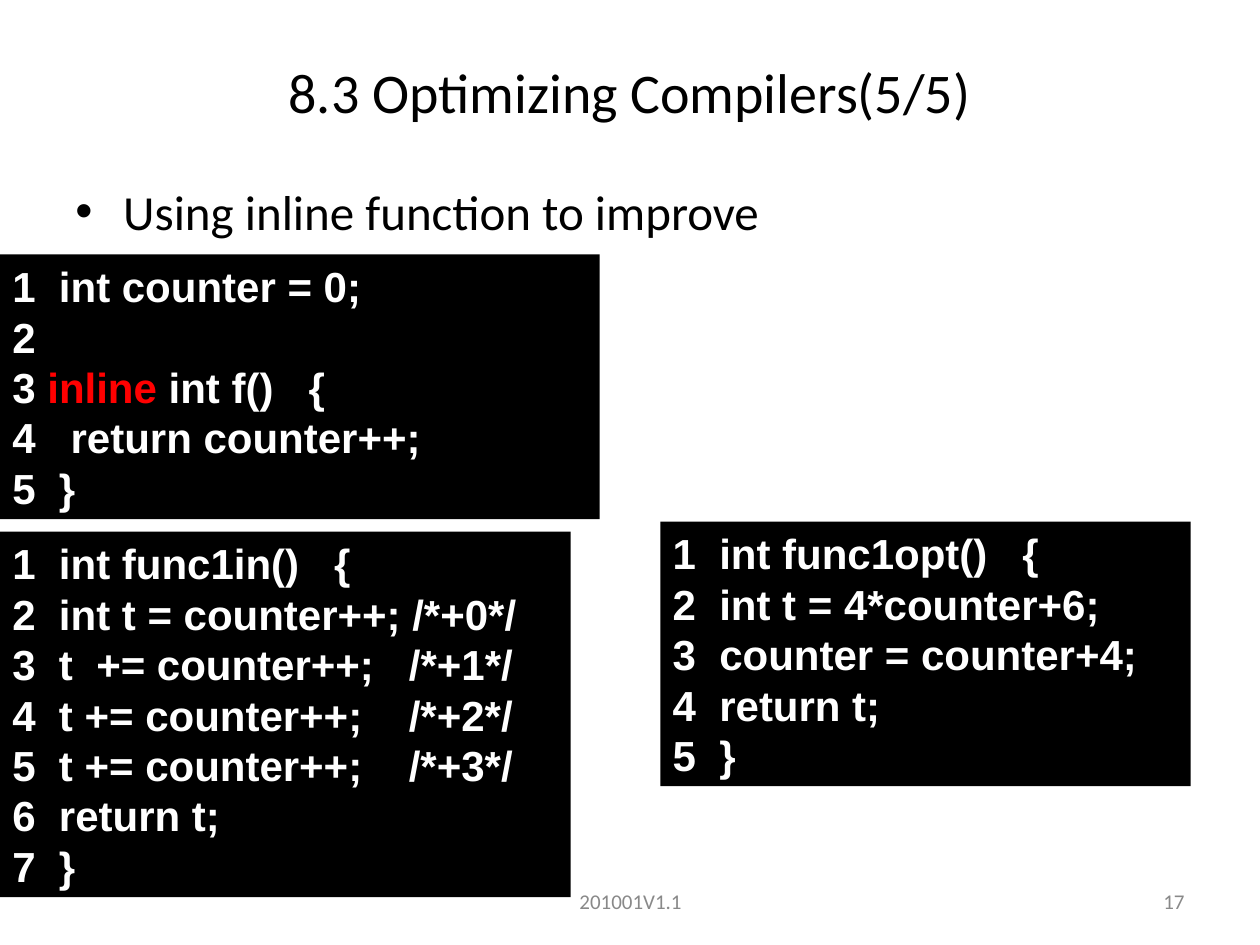
from lxml import etree
from pptx import Presentation
from pptx import util as u
from pptx.dml.color import RGBColor
from pptx.enum import shapes, text
from pptx.oxml.ns import qn

BLACK = RGBColor(0x00, 0x00, 0x00)
WHITE = RGBColor(0xFF, 0xFF, 0xFF)
RED = RGBColor(0xFF, 0x00, 0x00)
GRAY = RGBColor(0x89, 0x89, 0x89)


def set_font(font, **values):
    color = values.pop("color")
    for name, value in values.items():
        setattr(font, name, value)
    font.color.rgb = color


prs = Presentation()
prs.slide_width, prs.slide_height = u.Inches(10), u.Inches(7.5)
slide = prs.slides.add_slide(prs.slide_layouts[5])

# Footer and page number
footers = [
    ("201001V1.1", 3.42, 3.17, text.PP_ALIGN.CENTER),
    ("17", 7.17, 2.33, text.PP_ALIGN.RIGHT),
]
for words, left, width, align in footers:
    footer = slide.shapes.add_textbox(
        u.Inches(left), u.Inches(6.95), u.Inches(width), u.Inches(0.4))
    frame = footer.text_frame
    frame.word_wrap = True
    frame.vertical_anchor = text.MSO_ANCHOR.MIDDLE
    line = frame.paragraphs[0]
    line.text, line.alignment = words, align
    set_font(line.runs[0].font, name="Calibri", size=u.Pt(12), color=GRAY)

# Title
title = slide.shapes.title
title.left, title.top = u.Inches(0), u.Inches(0.3)
title.width, title.height = u.Inches(10), u.Inches(0.85)
title.text_frame.vertical_anchor = text.MSO_ANCHOR.MIDDLE
heading = title.text_frame.paragraphs[0]
heading.text = "8.3 Optimizing Compilers(5/5)"
heading.alignment = text.PP_ALIGN.CENTER
set_font(heading.runs[0].font, name="Calibri", size=u.Pt(32), color=BLACK)

# Bullet
body = slide.shapes.add_textbox(
    u.Inches(0.5), u.Inches(1.39), u.Inches(9), u.Inches(5.31))
body.text_frame.word_wrap = True
point = body.text_frame.paragraphs[0]
point.text = "Using inline function to improve"
props = point._p.get_or_add_pPr()
props.set("marL", str(u.Inches(0.38)))
props.set("indent", str(-u.Inches(0.38)))
etree.SubElement(props, qn("a:buFont")).set("typeface", "Arial")
etree.SubElement(props, qn("a:buChar")).set("char", "•")
set_font(point.runs[0].font, name="Calibri", size=u.Pt(28), color=BLACK)

# Code panels: left, top, width, height, code
INLINE_F = """\
1  int counter = 0;
2
3 inline int f()   {
4   return counter++;
5  }"""
FUNC1IN = """\
1  int func1in()   {
2  int t = counter++; /*+0*/
3  t  += counter++;   /*+1*/
4  t += counter++;    /*+2*/
5  t += counter++;    /*+3*/
6  return t;
7  }"""
FUNC1OPT = """\
1  int func1opt()   {
2  int t = 4*counter+6;
3  counter = counter+4;
4  return t;
5  }"""
panels = [
    (0, 2.02, 4.76, 2.1, INLINE_F),
    (0, 4.22, 4.53, 2.9, FUNC1IN),
    (5.24, 4.14, 4.21, 2.1, FUNC1OPT),
]
KEYWORD = "inline"
for *box, code in panels:
    panel = slide.shapes.add_shape(
        shapes.MSO_SHAPE.RECTANGLE, *map(u.Inches, box))
    panel.shadow.inherit = False
    panel.fill.solid()
    panel.fill.fore_color.rgb = BLACK
    panel.line.fill.background()
    frame = panel.text_frame
    frame.word_wrap = True
    frame.auto_size = text.MSO_AUTO_SIZE.SHAPE_TO_FIT_TEXT
    frame.vertical_anchor = text.MSO_ANCHOR.TOP
    for number, code_line in enumerate(code.splitlines()):
        line = frame.add_paragraph() if number else frame.paragraphs[0]
        line.alignment = text.PP_ALIGN.LEFT
        line.line_spacing = u.Pt(28.8)
        for part in filter(None, code_line.partition(KEYWORD)):
            run = line.add_run()
            run.text = part
            set_font(run.font, name="Arial", size=u.Pt(24), bold=True,
                     color=RED if part == KEYWORD else WHITE)

prs.save("out.pptx")
